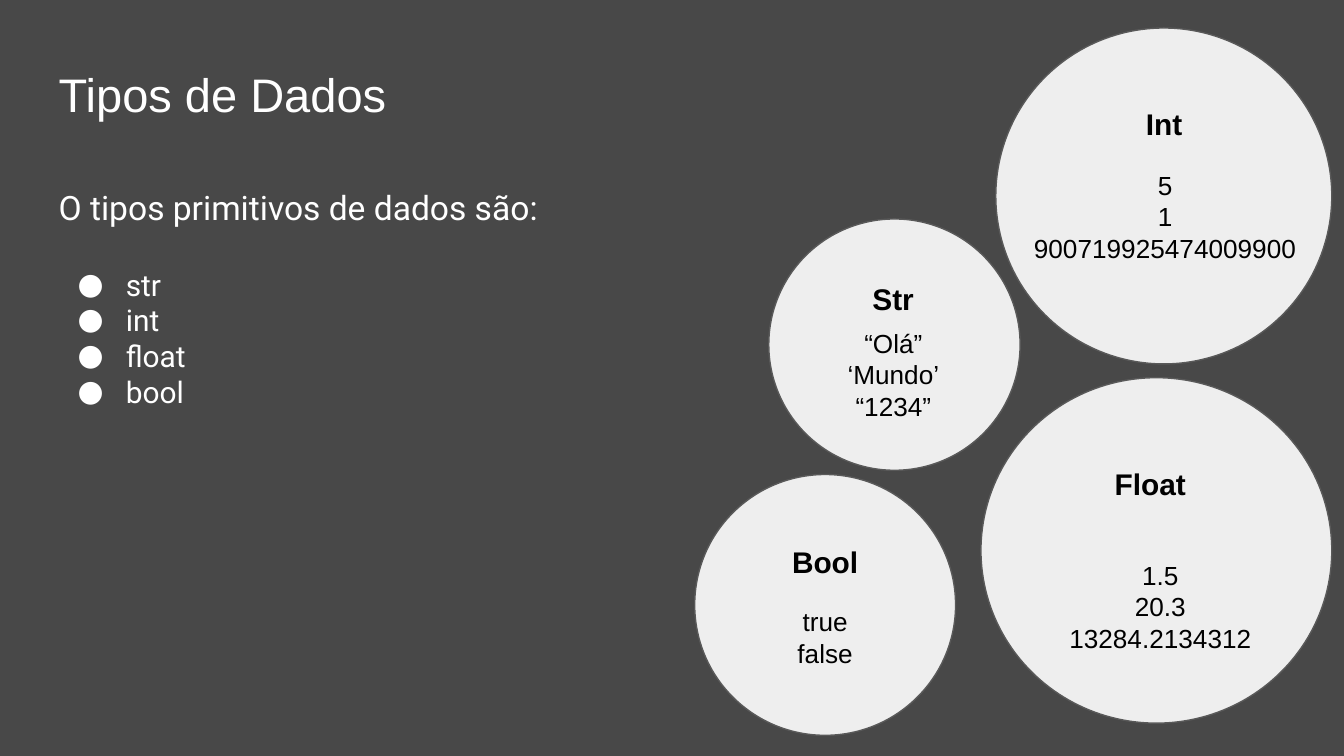
from dataclasses import dataclass
from lxml.etree import SubElement
from pptx import Presentation
from pptx.dml.color import RGBColor as Rgb
from pptx.enum.shapes import MSO_SHAPE as Shape
from pptx.enum.text import PP_ALIGN as Align
from pptx.oxml.ns import qn
from pptx.util import Cm, Pt


@dataclass(frozen=True)
class Theme:
    back: str = "484848"
    light: str = "FFFFFF"
    dark: str = "000000"
    disc: str = "EEEEEE"
    edge: str = "595959"
    sans: str = "Arial"
    text: str = "Roboto"
    title: float = 25.2
    lead: float = 18
    head: float = 16
    value: float = 14
    inset: float = 0.25


class Deck:
    def __init__(self, theme):
        self.theme = theme
        self.prs = Presentation()
        self.prs.slide_width, self.prs.slide_height = Cm(25.4), Cm(14.29)
        self.slide = self.prs.slides.add_slide(self.prs.slide_layouts[6])
        fill = self.slide.background.fill
        fill.solid()
        fill.fore_color.rgb = Rgb.from_string(theme.back)

    def text(self, home, box, lines, size, color, font, bold=False, align=Align.LEFT):
        frame = home.add_textbox(*map(Cm, box)).text_frame
        frame.word_wrap = True
        frame.margin_left = frame.margin_right = Cm(self.theme.inset)
        frame.margin_top = frame.margin_bottom = Cm(self.theme.inset)
        frame.text = "\n".join(lines)
        for para in frame.paragraphs:
            para.alignment = align
            para.font.size, para.font.name, para.font.bold = Pt(size), font, bold
            para.font.color.rgb = Rgb.from_string(color)
        return frame

    def bullet(self, para):
        props = para._p.get_or_add_pPr()
        props.set("marL", str(Cm(1.27)))
        props.set("indent", str(-Cm(0.91)))
        tint = SubElement(props, qn("a:buClr"))
        SubElement(tint, qn("a:srgbClr"), val=self.theme.light)
        SubElement(props, qn("a:buFont"), typeface=self.theme.text)
        SubElement(props, qn("a:buChar"), char="●")

    def title(self, box, words):
        t = self.theme
        self.text(self.slide.shapes, box, [words], t.title, t.light, t.sans)

    def items(self, box, lead, names):
        t = self.theme
        frame = self.text(self.slide.shapes, box, [lead, *names], t.head, t.light, t.text)
        first, *rest = frame.paragraphs
        first.font.size = Pt(t.lead)
        first.space_after = Pt(21)
        for para in rest:
            self.bullet(para)

    def bubble(self, disc, name, head, values, body):
        t = self.theme
        home = self.slide.shapes.add_group_shape().shapes
        oval = home.add_shape(Shape.OVAL, *map(Cm, disc))
        oval.shadow.inherit = False
        oval.fill.solid()
        oval.fill.fore_color.rgb = Rgb.from_string(t.disc)
        oval.line.color.rgb = Rgb.from_string(t.edge)
        oval.line.width = Pt(0.75)
        self.text(home, head, [name], t.head, t.dark, t.sans, True, Align.CENTER)
        self.text(home, body, values, t.value, t.dark, t.sans, align=Align.CENTER)

    def save(self):
        self.prs.save("out.pptx")


# Each type: disc, name, name box, sample values, values box (cm)
TYPES = [
    ((18.82, 0.53, 6.35, 6.35), "Int", (20.55, 1.75, 2.9, 1.19),
     ["5", "1", "900719925474009900"], (19.25, 2.95, 5.54, 2.31)),
    ((14.53, 4.14, 4.75, 4.75), "Str", (15.8, 5.05, 2.16, 1.19),
     ["“Olá”", "‘Mundo’", "“1234”"], (14.83, 5.94, 4.11, 2.31)),
    ((18.54, 7.14, 6.63, 6.53), "Float", (20.29, 8.56, 2.9, 1.19),
     ["1.5", "20.3", "13284.2134312"], (18.69, 10.32, 6.48, 2.31)),
    ((13.13, 8.97, 4.93, 4.93), "Bool", (14.2, 10.03, 2.79, 1.19),
     ["true", "false"], (12.93, 11.2, 5.33, 1.7)),
]


def main():
    deck = Deck(Theme())
    # Title and list
    deck.title((0.86, 0.99, 23.67, 1.6), "Tipos de Dados")
    deck.items((0.86, 3.28, 21.95, 5.46), "O tipos primitivos de dados são:",
               ["str", "int", "float", "bool"])
    # Bubbles with samples
    for kind in TYPES:
        deck.bubble(*kind)
    deck.save()


if __name__ == "__main__":
    main()
